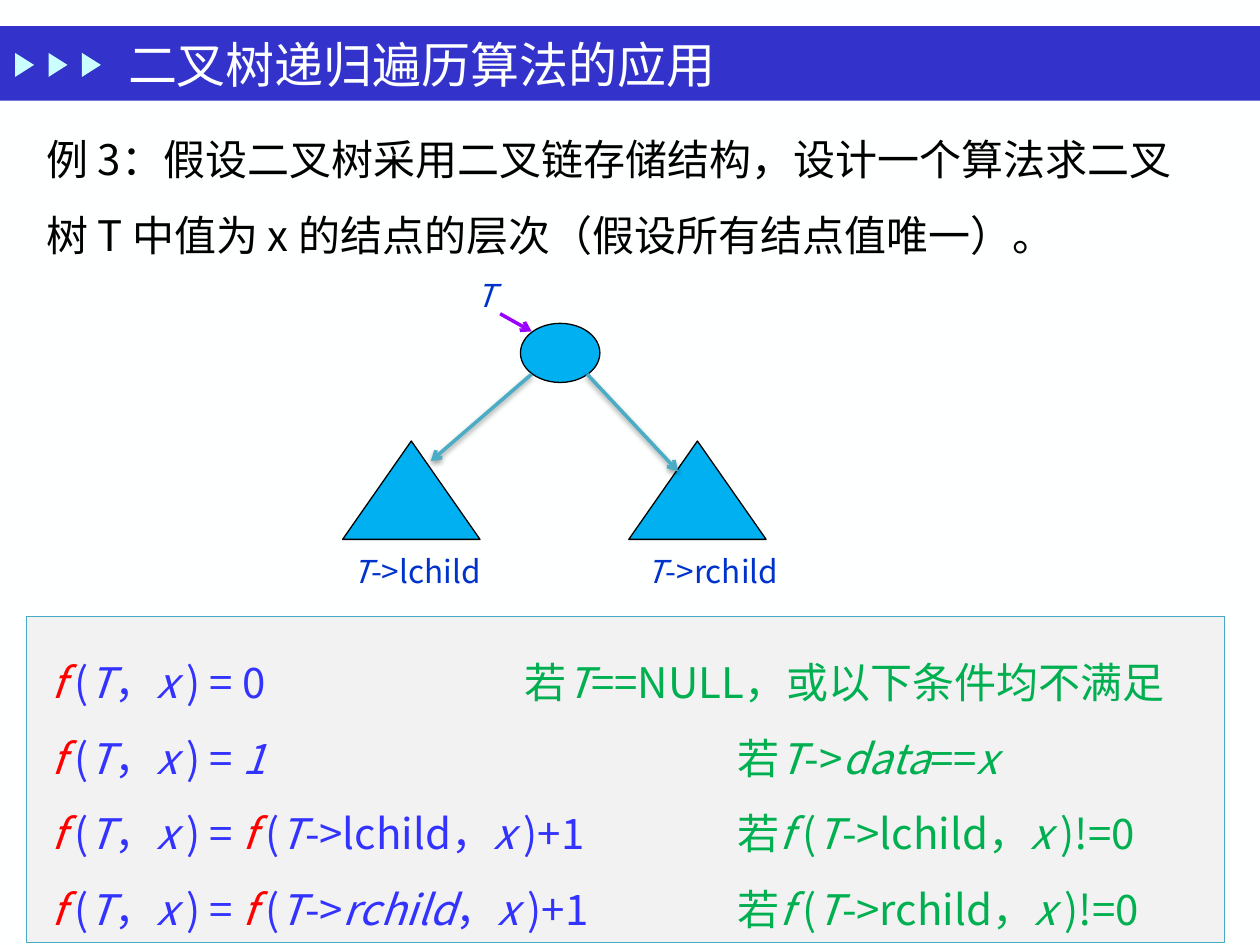
"""Builds a slide on finding the level of a node in a binary tree."""
import pptx
import pptx.util
import pptx.dml.color
import pptx.enum.shapes
import pptx.enum.text
import pptx.oxml
import pptx.oxml.ns
import lxml.etree

Pt = pptx.util.Pt
SHAPE = pptx.enum.shapes.MSO_SHAPE
ALIGN = pptx.enum.text.PP_ALIGN
ANCHOR = pptx.enum.text.MSO_ANCHOR
NSDECL = pptx.oxml.ns.nsdecls("a")
FONT = "Noto Sans CJK SC"
WHITE, BLACK, SKY, TEAL = "FEFFFF", "000000", "00B0F0", "4BACC6"
RED, BLUE, GREEN, NAVY = "FF0000", "3333FF", "00B050", "0033CC"


def rgb(value):
    return pptx.dml.color.RGBColor.from_string(value)


class Deck:
    def __init__(self):
        self.prs = pptx.Presentation()
        self.prs.slide_width, self.prs.slide_height = Pt(720), Pt(540)
        self.s = self.prs.slides.add_slide(self.prs.slide_layouts[5])
        self.s.background.fill.solid()
        self.s.background.fill.fore_color.rgb = rgb(WHITE)

    def shape(self, kind, box, fill, line=None, rotation=0):
        sp = self.s.shapes.add_shape(kind, *map(Pt, box))
        sp.shadow.inherit = False
        sp.rotation = rotation
        sp.fill.solid()
        sp.fill.fore_color.rgb = rgb(fill)
        if line:
            sp.line.color.rgb = rgb(line)
            sp.line.width = Pt(0.75)
        else:
            sp.line.fill.background()
        return sp

    def frame(self, sp, x=7.2, y=3.6, anchor=ANCHOR.TOP):
        tf = sp.text_frame
        tf.word_wrap = True
        tf.vertical_anchor = anchor
        tf.margin_left = tf.margin_right = Pt(x)
        tf.margin_top = tf.margin_bottom = Pt(y)
        return tf

    def runs(self, p, text, color, size, font=FONT):
        for i, part in enumerate(text.split("_")):
            if part:
                r = p.add_run()
                r.text = part
                r.font.size, r.font.name = Pt(size), font
                r.font.italic = i % 2 == 1
                r.font.color.rgb = rgb(color)
                ea = lxml.etree.SubElement(r.font._element, pptx.oxml.ns.qn("a:ea"))
                ea.set("typeface", FONT)

    def title(self, box, text):
        sp = self.s.shapes.title
        self.s.shapes._spTree.append(sp._element)
        sp.left, sp.top, sp.width, sp.height = map(Pt, box)
        p = self.frame(sp, anchor=ANCHOR.MIDDLE).paragraphs[0]
        p.alignment = ALIGN.LEFT
        self.runs(p, text, WHITE, 28, "Times New Roman")

    def text(self, box, text, color, size, spacing, align=ALIGN.LEFT, margins=(7.2, 3.6)):
        sp = self.s.shapes.add_textbox(*map(Pt, box))
        p = self.frame(sp, *margins).paragraphs[0]
        p.alignment, p.line_spacing = align, spacing
        self.runs(p, text, color, size)

    def label(self, box, text):
        self.text(box, text, NAVY, 18, 0.8, ALIGN.CENTER, (0, 0))

    def arrow(self, start, end, color, shadow=False):
        ends = map(Pt, (*start, *end))
        sp = self.s.shapes.add_connector(pptx.enum.shapes.MSO_CONNECTOR.STRAIGHT, *ends)
        sp.line.color.rgb = rgb(color)
        sp.line.width = Pt(2)
        ln = sp.line._get_or_add_ln()
        ln.append(pptx.oxml.parse_xml(f'<a:tailEnd {NSDECL} type="arrow"/>'))
        effect = ('<a:outerShdw blurRad="40000" dist="20000" dir="5400000" rotWithShape="0">'
                  '<a:srgbClr val="000000"><a:alpha val="38000"/></a:srgbClr></a:outerShdw>')
        sp._element.spPr.append(pptx.oxml.parse_xml(
            f'<a:effectLst {NSDECL}>{effect if shadow else ""}</a:effectLst>'))

    def formulas(self, box, rows):
        sp = self.shape(SHAPE.RECTANGLE, box, "F2F2F2", "46AAC5")
        tf = self.frame(sp, 14.4, 8.64)
        for i, (tab, pieces) in enumerate(rows):
            p = tf.add_paragraph() if i else tf.paragraphs[0]
            p.alignment, p.line_spacing = ALIGN.LEFT, 1.5
            p._p.get_or_add_pPr().append(pptx.oxml.parse_xml(
                f'<a:tabLst {NSDECL}><a:tab pos="{Pt(tab)}" algn="l"/></a:tabLst>'))
            for text, color in pieces:
                self.runs(p, text, color, 24)


def main():
    d = Deck()
    d.shape(SHAPE.RECTANGLE, (0, 15, 720, 42.5), "3333CC")
    for i in range(3):
        d.shape(SHAPE.ISOSCELES_TRIANGLE, (7.2 + 19.1 * i, 31.7, 13.7, 10.8),
                "CBFFFF", rotation=90)
    d.title((66, 18.7, 504, 36), "二叉树递归遍历算法的应用")
    d.text((19.4, 58.3, 680.4, 92.2),
           "例 3：假设二叉树采用二叉链存储结构，设计一个算法求二叉树 T 中值为 x "
           "的结点的层次（假设所有结点值唯一）。", BLACK, 24, 1.5)

    d.shape(SHAPE.OVAL, (297.4, 184.8, 45.4, 33.8), SKY, BLACK)
    for x in (195.8, 359.3):
        d.shape(SHAPE.ISOSCELES_TRIANGLE, (x, 252, 78.5, 56.2), SKY, BLACK)
    d.arrow((303.8, 213.8), (246.2, 263.5), TEAL, shadow=True)
    d.arrow((335.5, 213.8), (387.4, 269.3), TEAL, shadow=True)
    d.arrow((285.8, 179.3), (303.8, 189.4), "9900FF")
    d.label((269.3, 162, 16.6, 17.3), "_T_")
    for x, child in ((190.1, "lchild"), (359.3, "rchild")):
        d.label((x, 319.7, 95.8, 17.3), f"_T_->{child}")

    f = ("_f _", RED)
    head = [f, ("(_T_，_x _) = ", BLUE)]
    rows = [
        (270, head + [("0\t", BLUE), ("若_T_==NULL，或以下条件均不满足", GREEN)]),
        (392, head + [("_1\t_", BLUE), ("若_T_->_data_==_x_", GREEN)]),
    ]
    for child, shown in (("lchild", "lchild"), ("rchild", "_rchild_")):
        rows.append((392, head + [f, (f"(_T_->{shown}，_x _)+1\t", BLUE),
                                  (f"若_f _(_T_->{child}，_x _)!=0", GREEN)]))
    d.formulas((15.1, 352.1, 684.7, 186.5), rows)
    d.prs.save("out.pptx")


if __name__ == "__main__":
    main()
